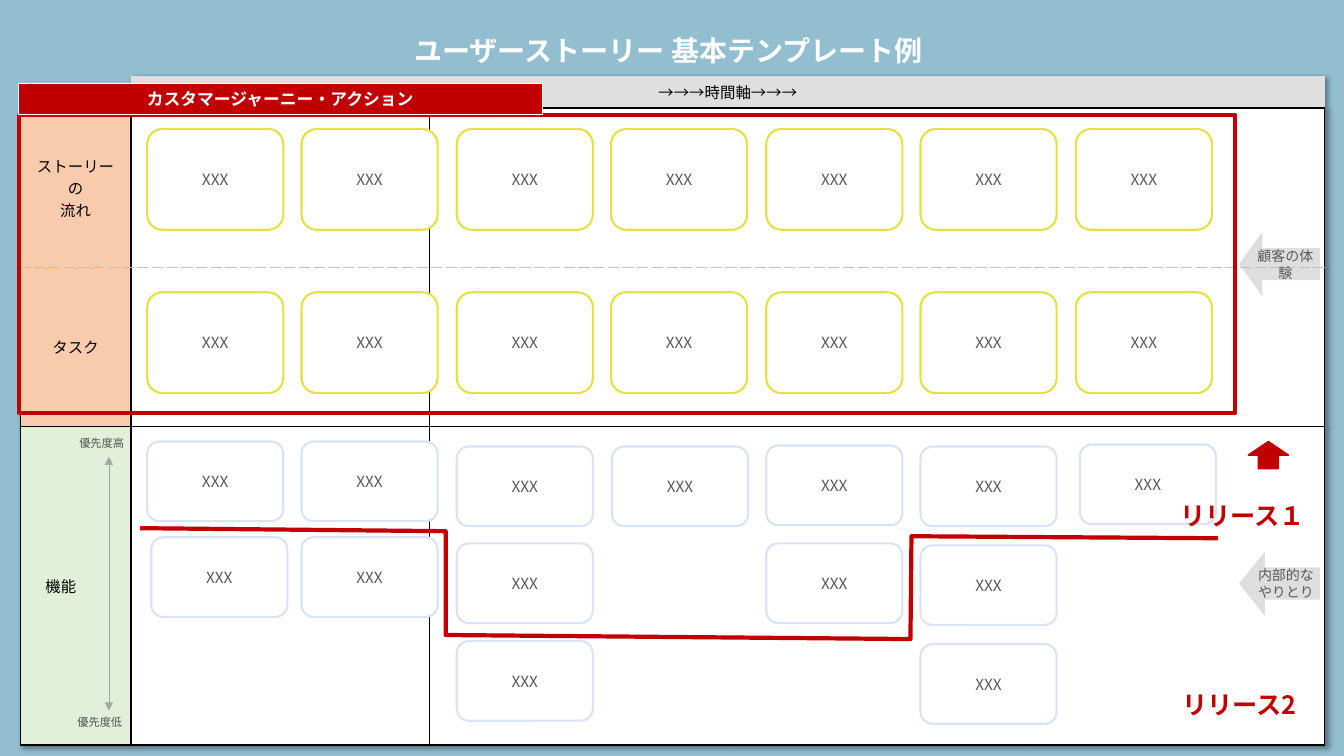
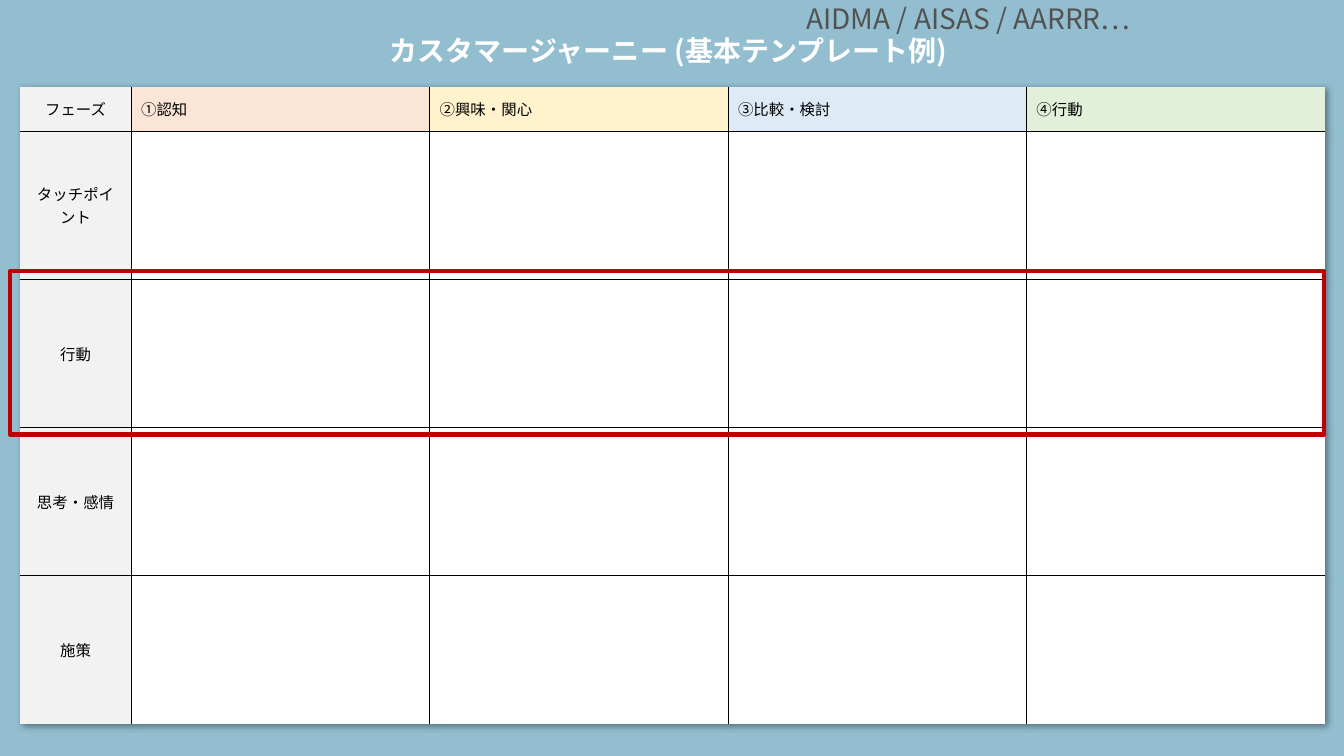
import dataclasses

import lxml.etree
import pptx
import pptx.dml.color
import pptx.enum.shapes
import pptx.enum.text
import pptx.oxml.ns
import pptx.util

PX = 9144
KIND = pptx.enum.shapes.MSO_SHAPE
ALIGN = pptx.enum.text.PP_ALIGN
ANCHOR = pptx.enum.text.MSO_ANCHOR
PLAIN = "{2D5ABB26-0587-4C30-8999-92F81FD0307C}"


@dataclasses.dataclass(frozen=True)
class Theme:
    """Hold the colours, font and type sizes."""
    font: str = "Noto Sans CJK JP"
    back: str = "92BED0"
    white: str = "FFFFFF"
    black: str = "000000"
    red: str = "C00000"
    gray: str = "595959"
    dark: str = "525252"
    dash: str = "BFBFBF"
    axis: str = "A6A6A6"
    bar: str = "DFDFDF"
    pale: str = "F2F2F2"
    peach: str = "F8CBAD"
    green: str = "E2F0D9"
    lime: str = "E3E143"
    blue: str = "DAE3F3"
    phases: tuple = ("FBE5D6", "FFF2CC", "DEEBF7", "E2F0D9")
    head: int = 20
    big: int = 18
    mid: int = 12
    text: int = 11
    small: int = 10
    tiny: int = 8


THEME = Theme()


def rgb(tint):
    """Turn a hex string into a colour."""
    return pptx.dml.color.RGBColor.from_string(tint)


def put(item, values):
    """Set attributes of an object from a dict."""
    for key, value in values.items():
        setattr(item, key, value)


def node(base, tag, **attrs):
    """Add a drawing element below another one."""
    return lxml.etree.SubElement(base, pptx.oxml.ns.qn("a:" + tag), attrs)


def place(box, x, y, w, h):
    """Give a box in EMU from px offsets within a parent box."""
    return [n * PX for n in (box[0] + x, box[1] + y, w, h)]


def write(frame, lines, size=THEME.text, tint=THEME.black, bold=False,
          align=ALIGN.CENTER, **look):
    """Fill a text frame with formatted paragraphs."""
    put(frame, {"word_wrap": True, **look})
    for i, line in enumerate(lines.split("\n")):
        para = frame.add_paragraph() if i else frame.paragraphs[0]
        para.alignment = align
        run = para.add_run()
        run.text = line
        put(run.font, {"name": THEME.font, "size": pptx.util.Pt(size), "bold": bold})
        run.font.color.rgb = rgb(tint)
        node(run.font._element, "ea", typeface=THEME.font)


def paint(shape, fill=None, line=None, width=1):
    """Set the fill and line of a shape and drop its shadow."""
    shape.shadow.inherit = False
    if fill:
        shape.fill.solid()
        shape.fill.fore_color.rgb = rgb(fill)
    else:
        shape.fill.background()
    if line:
        shape.line.color.rgb = rgb(line)
        shape.line.width = pptx.util.Pt(width)
    else:
        shape.line.fill.background()


def draw(slide, kind, spot, fill=None, line=None, width=1, bends=()):
    """Add a preset shape."""
    shape = slide.shapes.add_shape(kind, *spot)
    paint(shape, fill, line, width)
    for i, bend in enumerate(bends):
        shape.adjustments[i] = bend
    return shape


def note(slide, spot, words, size, tint, **look):
    """Add a text box."""
    frame = slide.shapes.add_textbox(*spot).text_frame
    write(frame, words, size, tint, **look)
    return frame


def start(deck, words):
    """Add a slide with its title."""
    slide = deck.slides.add_slide(deck.slide_layouts[5])
    title = slide.shapes.title
    put(title, dict(zip(("left", "top", "width", "height"),
                        place((0, 0), 20, 32, 1286, 53))))
    write(title.text_frame, words, THEME.head, THEME.white, True,
          vertical_anchor=ANCHOR.TOP, auto_size=pptx.enum.text.MSO_AUTO_SIZE.NONE)
    title.text_frame.paragraphs[0].line_spacing = 0.9
    return slide


def grid(slide, box, rows, labels, tint, edges):
    """Add a shadowed table with a narrow label column."""
    first, rest = 110, 4
    table = slide.shapes.add_table(len(rows), rest + 1, *place(box, 0, 0, *box[2:])).table
    put(table, {"first_row": False, "horz_banding": False})
    props = table._tbl.tblPr
    props.find(pptx.oxml.ns.qn("a:tableStyleId")).text = PLAIN
    effect = node(props, "effectLst")
    props.insert(0, effect)
    shade = node(effect, "outerShdw", blurRad="50800", dist="38100",
                 dir="2700000", algn="tl", rotWithShape="0")
    node(node(shade, "prstClr", val="black"), "alpha", val="40000")
    for c, col in enumerate(table.columns):
        col.width = ((box[2] - first) // rest if c else first) * PX
    for r, high in enumerate(rows):
        table.rows[r].height = high * PX
        for c in range(rest + 1):
            cell = table.cell(r, c)
            cell.vertical_anchor = ANCHOR.MIDDLE
            sides = edges(r, c)
            for side in "LRTB":
                if side in sides:
                    color, width, dash = sides[side]
                    line = node(cell._tc.get_or_add_tcPr(), "ln" + side,
                                w=str(int(width * 12700)))
                    node(node(line, "solidFill"), "srgbClr", val=color)
                    node(line, "prstDash", val=dash)
            fill = tint(r, c)
            if fill:
                cell.fill.solid()
                cell.fill.fore_color.rgb = rgb(fill)
            else:
                cell.fill.background()
            if (r, c) in labels:
                words, align = labels[r, c]
                write(cell.text_frame, words, align=align)
            else:
                node(cell.text_frame.paragraphs[0]._p, "endParaRPr",
                     sz=str(THEME.text * 100))
    return table


def board(slide, box):
    """Add the story map table."""
    solid, dash = (THEME.black, 1, "solid"), (THEME.dash, 1, "dash")

    def edges(r, c):
        """Choose the borders of a story map cell."""
        if r == 0:
            return {"B": solid}
        sides = {"T": dash if r == 2 else solid, "B": dash if r == 1 else solid}
        if c in (0, 1):
            sides["L"] = solid
        if c in (0, 4):
            sides["R"] = solid
        return sides

    def tint(r, c):
        """Choose the fill of a story map cell."""
        if r == 0:
            return THEME.bar if c else None
        return THEME.white if c else (THEME.peach, THEME.peach, THEME.green)[r - 1]

    labels = {(0, 1): ("→→→時間軸→→→", ALIGN.CENTER),
              (1, 0): ("ストーリーの\n流れ", ALIGN.CENTER),
              (2, 0): ("タスク", ALIGN.CENTER),
              (3, 0): ("機能", ALIGN.LEFT)}
    table = grid(slide, box, (30, 158, 158, 316), labels, tint, edges)
    table.cell(0, 1).merge(table.cell(0, 4))
    table.cell(3, 0).margin_left = 25 * PX


def cards(slide, box):
    """Add the story, task and feature cards."""
    tall, low = (100, THEME.lime), (79, THEME.blue)
    stacks = [(c, 0, (53, 215), tall) for c in range(7)] + [
        (0, 0, (363,), low), (0, 4, (458,), low), (1, 0, (363, 458), low),
        (2, 0, (368, 464, 561), low), (3, 1, (368,), low), (4, 0, (367, 464), low),
        (5, 0, (368, 466, 564), low), (6, 4, (366,), low)]
    for col, shift, tops, (high, line) in stacks:
        for top in tops:
            card = draw(slide, KIND.ROUNDED_RECTANGLE,
                        place(box, 126 + col * 307 // 2 + shift, top, 135, high),
                        THEME.white, line, 1.5, (0.15,))
            write(card.text_frame, "XXX", tint=THEME.gray, vertical_anchor=ANCHOR.MIDDLE)


def views(slide, box):
    """Add the pale arrows at the right edge."""
    inset = dict.fromkeys(("margin_left", "margin_right", "margin_top", "margin_bottom"), 0)
    for top, bend, words in ((155, 0.36, "顧客の体験"), (472, 0.4, "内部的な\nやりとり")):
        arrow = draw(slide, KIND.LEFT_ARROW, place(box, 1209, top, 80, 64),
                     THEME.dash, bends=(0.5, bend))
        color = arrow.fill._xPr.find(".//" + pptx.oxml.ns.qn("a:srgbClr"))
        node(color, "alpha", val="50000")
        write(arrow.text_frame, words, THEME.small, THEME.gray,
              vertical_anchor=ANCHOR.MIDDLE, **inset)


def frame(slide, box):
    """Add the red frame around the customer journey and its banner."""
    draw(slide, KIND.RECTANGLE, place(box, -1, 39, 1206, 296), line=THEME.red, width=3)
    banner = draw(slide, KIND.RECTANGLE, place(box, -2, 8, 520, 31),
                  THEME.red, THEME.white, 0.5)
    write(banner.text_frame, "カスタマージャーニー・アクション", THEME.mid, THEME.white,
          True, vertical_anchor=ANCHOR.MIDDLE)


def scale(slide, box):
    """Add the priority axis with its two labels."""
    x, y, _, high = place(box, 88, 378, 0, 252)
    axis = slide.shapes.add_connector(pptx.enum.shapes.MSO_CONNECTOR.STRAIGHT,
                                      x, y + high, x, y)
    axis.line.color.rgb = rgb(THEME.axis)
    axis.line.width = pptx.util.Pt(0.5)
    line = axis.line._get_or_add_ln()
    for end in ("headEnd", "tailEnd"):
        node(line, end, type="triangle")
    node(axis._element.spPr, "effectLst")
    for left, top, words in ((46, 353, "優先度高"), (44, 630, "優先度低")):
        note(slide, place(box, left, top, 70, 24), words, THEME.tiny, THEME.dark)


def release(slide, box):
    """Add the release border, its arrow and its labels."""
    bends = [(119, 449), (422, 452), (422, 555), (883, 559), (884, 457), (1188, 459)]
    points = [(box[0] + x, box[1] + y) for x, y in bends]
    form = slide.shapes.build_freeform(*points[0], scale=PX)
    form.add_line_segments(points[1:], close=False)
    paint(form.convert_to_shape(), line=THEME.red, width=3)
    for left, top, words in ((1131, 416, "リリース１"), (1128, 604, "リリース2")):
        note(slide, place(box, left, top, 163, 40), words, THEME.big, THEME.red, bold=True)
    draw(slide, KIND.UP_ARROW, place(box, 1218, 363, 40, 27), THEME.red, THEME.red)


def story(deck):
    """Build the user story slide."""
    slide = start(deck, "ユーザーストーリー 基本テンプレート例")
    for part in (board, cards, views, frame, scale, release):
        part(slide, (20, 75, 1294, 662))


def trip(deck):
    """Build the customer journey slide."""
    slide = start(deck, "カスタマージャーニー (基本テンプレート例)")
    box = (20, 86, 1294, 632)
    phases = ("①認知", "②興味・関心", "③比較・検討", "④行動")
    steps = ("フェーズ", "タッチポイント", "行動", "思考・感情", "施策")
    labels = {(r, 0): (words, ALIGN.CENTER) for r, words in enumerate(steps)}
    labels |= {(0, c): (words, ALIGN.LEFT) for c, words in enumerate(phases, 1)}

    def edges(r, c):
        """Draw only the inner borders."""
        inner = {"L": c > 0, "R": c < 4, "T": r > 0, "B": r < 4}
        return {side: (THEME.black, 0.5, "solid") for side, on in inner.items() if on}

    def tint(r, c):
        """Choose the fill of a journey cell."""
        if c == 0:
            return THEME.pale
        return THEME.white if r else THEME.phases[c - 1]

    grid(slide, box, (44,) + (147,) * 4, labels, tint, edges)
    models = note(slide, place(box, 754, -86, 373, 40), "AIDMA / AISAS / AARRR…",
                  THEME.head, THEME.dark, vertical_anchor=ANCHOR.MIDDLE)
    models.paragraphs[0].line_spacing = 0.9
    draw(slide, KIND.RECTANGLE, place(box, -10, 183, 1303, 162), line=THEME.red, width=3)


def main():
    """Build and save the deck."""
    deck = pptx.Presentation()
    put(deck, {"slide_width": 1333 * PX, "slide_height": 750 * PX})
    back = deck.slide_master.background.fill
    back.solid()
    back.fore_color.rgb = rgb(THEME.back)
    story(deck)
    trip(deck)
    deck.save("out.pptx")


if __name__ == "__main__":
    main()
